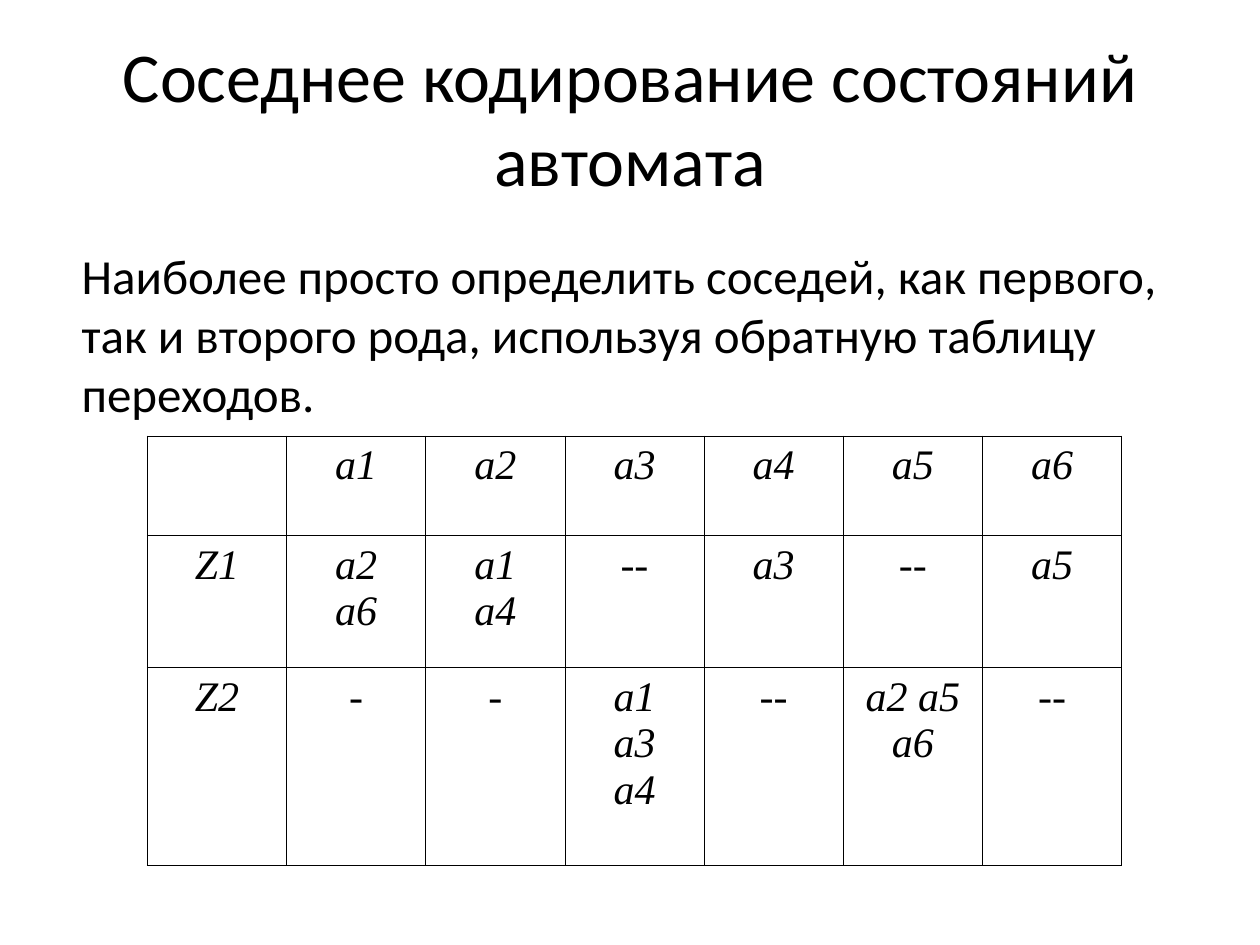
from lxml import etree
from pptx import Presentation
from pptx.dml.color import RGBColor
from pptx.enum.text import MSO_ANCHOR, PP_ALIGN
from pptx.oxml.ns import qn
from pptx.util import Pt

LEFT, CENTER = PP_ALIGN.LEFT, PP_ALIGN.CENTER
TOP, MIDDLE = MSO_ANCHOR.TOP, MSO_ANCHOR.MIDDLE

THEME = {
    "ink": "000000",
    "border_width": 0.45,
    "title": {"name": "Calibri", "size": Pt(40)},
    "body": {"name": "Calibri", "size": Pt(28)},
    "table": {"name": "Times New Roman", "size": Pt(24), "italic": True},
}


def write_text(text_frame, text, style, alignment):
    for index, line in enumerate(text.split("\n")):
        paragraph = text_frame.paragraphs[0] if index == 0 else text_frame.add_paragraph()
        paragraph.alignment = alignment
        run = paragraph.add_run()
        run.text = line
        for attribute, value in THEME[style].items():
            setattr(run.font, attribute, value)
        run.font.color.rgb = RGBColor.from_string(THEME["ink"])


def add_borders(cell):
    properties = cell._tc.get_or_add_tcPr()
    for side in ("lnL", "lnR", "lnT", "lnB"):
        line = etree.SubElement(properties, qn("a:" + side), w=str(Pt(THEME["border_width"])))
        fill = etree.SubElement(line, qn("a:solidFill"))
        etree.SubElement(fill, qn("a:srgbClr"), val=THEME["ink"])


presentation = Presentation()
presentation.slide_width, presentation.slide_height = Pt(720), Pt(540)
slide = presentation.slides.add_slide(presentation.slide_layouts[6])

text_boxes = [
    ("title", (36, 21.6, 648, 90), MIDDLE, CENTER,
     "Соседнее кодирование состояний автомата"),
    ("body", (39.6, 136.8, 635.8, 108), TOP, LEFT,
     "Наиболее просто определить соседей, как первого, так и второго рода, "
     "используя обратную таблицу переходов."),
]
for style, box, anchor, alignment, text in text_boxes:
    text_frame = slide.shapes.add_textbox(*map(Pt, box)).text_frame
    text_frame.word_wrap = True
    text_frame.vertical_anchor = anchor
    write_text(text_frame, text, style, alignment)

transitions = [
    ["", "a1", "a2", "а3", "a4", "a5", "a6"],
    ["Z1", "a2\na6", "a1\na4", "--", "a3", "--", "a5"],
    ["Z2", "-", "-", "а1\nа3\na4", "--", "a2 a5 a6", "--"],
]
row_heights = [57, 75.5, 113]
column_width = 79.55
column_count = len(transitions[0])

table = slide.shapes.add_table(
    len(transitions), column_count, Pt(84.2), Pt(249.1),
    Pt(column_width * column_count), Pt(sum(row_heights)),
).table
table.first_row = False
table.horz_banding = False
for column in table.columns:
    column.width = Pt(column_width)
cell_margins = {
    "margin_left": Pt(5.8), "margin_right": Pt(5.8),
    "margin_top": Pt(3.6), "margin_bottom": Pt(3.6),
}
for row, height, texts in zip(table.rows, row_heights, transitions):
    row.height = Pt(height)
    for cell, text in zip(row.cells, texts):
        for attribute, value in cell_margins.items():
            setattr(cell, attribute, value)
        add_borders(cell)
        cell.fill.background()
        if text:
            write_text(cell.text_frame, text, "table", CENTER)

presentation.save("out.pptx")
